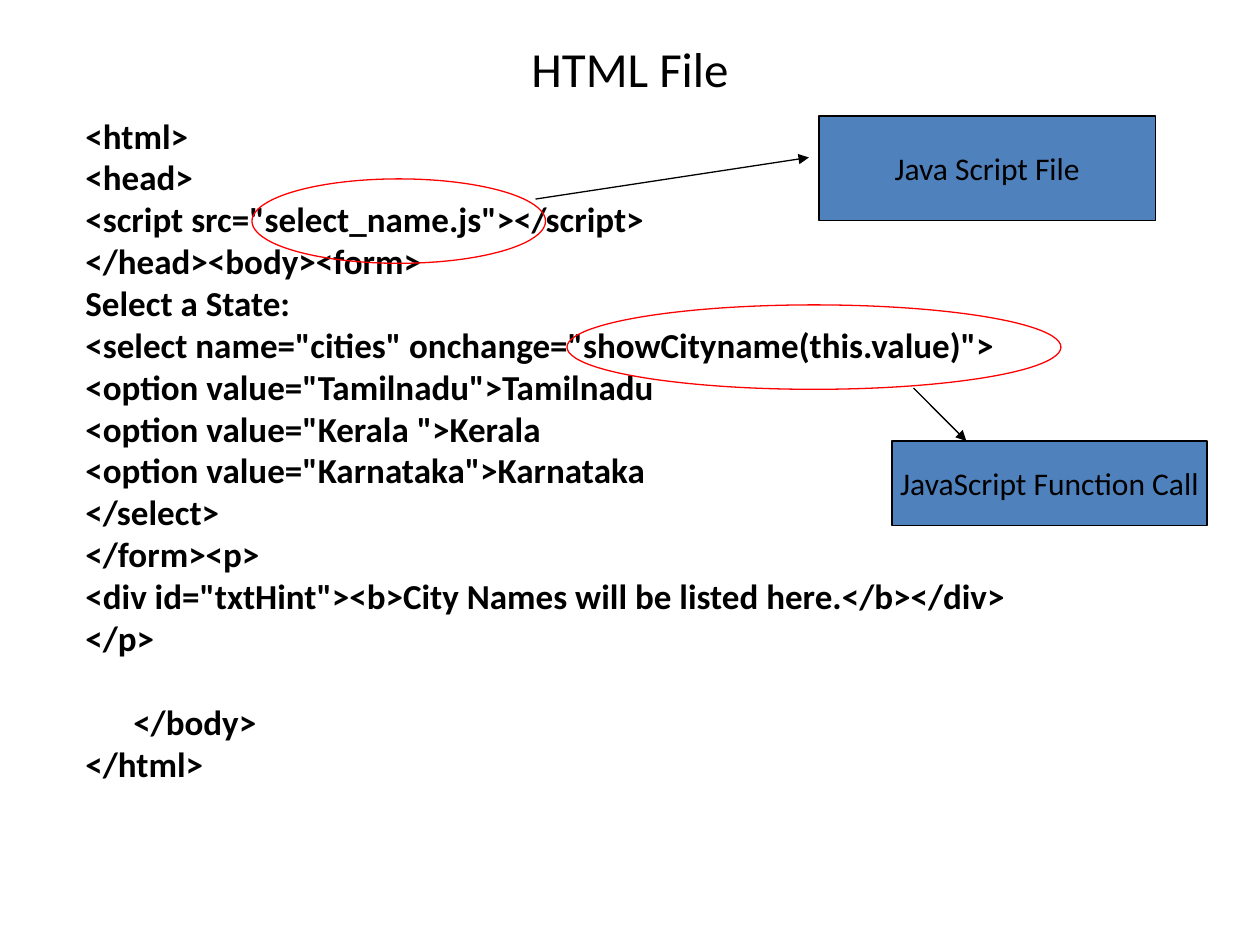
from pptx import Presentation
from pptx.dml.color import RGBColor
from pptx.enum.shapes import MSO_CONNECTOR, MSO_SHAPE
from pptx.enum.text import MSO_ANCHOR, PP_ALIGN
from pptx.oxml.ns import qn
from pptx.util import Inches, Pt
from lxml import etree

BLACK = RGBColor(0x00, 0x00, 0x00)
RED = RGBColor(0xFF, 0x00, 0x00)
BLUE = RGBColor(0x4F, 0x81, 0xBD)
OVAL, RECT = MSO_SHAPE.OVAL, MSO_SHAPE.RECTANGLE
LINE = MSO_CONNECTOR.STRAIGHT
CENTER, MIDDLE = PP_ALIGN.CENTER, MSO_ANCHOR.MIDDLE
TOP = MSO_ANCHOR.TOP

CODE = [
    '<html>',
    '<head>',
    '<script src="select_name.js"></script>',
    '</head><body><form>',
    'Select a State:',
    '<select name="cities" onchange="showCityname(this.value)">',
    '<option value="Tamilnadu">Tamilnadu',
    '<option value="Kerala ">Kerala',
    '<option value="Karnataka">Karnataka',
    '</select>',
    '</form><p>',
    '<div id="txtHint"><b>City Names will be listed here.</b></div>',
    '</p>',
    '</body>',
    '</html>',
]


class Deck:
    """Holds the style and the current slide, and draws each kind of element."""

    font = "Calibri"
    weight = Pt(0.75)
    gap = 4.7
    indent = Inches(0.38)

    def __init__(self, slide):
        self.slide = slide
        self.shapes = slide.shapes

    def style(self, para, size, bold=False):
        for run in para.runs:
            run.font.name = self.font
            run.font.size = Pt(size)
            run.font.bold = bold
            run.font.color.rgb = BLACK

    def title(self, text, *box):
        shape = self.shapes.title
        shape.left, shape.top, shape.width, shape.height = map(Inches, box)
        frame = shape.text_frame
        frame.text = text
        frame.vertical_anchor = MIDDLE
        frame.paragraphs[0].alignment = CENTER
        self.style(frame.paragraphs[0], 28)

    def code(self, lines, *box):
        frame = self.shapes.add_textbox(*map(Inches, box)).text_frame
        frame.word_wrap = True
        frame.vertical_anchor = TOP
        frame.text = "\n".join(lines)
        for i, para in enumerate(frame.paragraphs):
            inset = para.text == "</body>"
            props = para._p.get_or_add_pPr()
            props.set("marL", str(self.indent))
            props.set("indent", str(0 if inset else -self.indent))
            para.line_spacing = 0.8
            if i:
                para.space_before = Pt(self.gap * 2 + 19.5 if inset else self.gap)
            self.style(para, 20, True)

    def shape(self, kind, box, color):
        shape = self.shapes.add_shape(kind, *map(Inches, box))
        shape.shadow.inherit = False
        shape.line.color.rgb = color
        shape.line.width = self.weight
        return shape

    def ring(self, *box):
        self.shape(OVAL, box, RED).fill.background()

    def label(self, text, *box):
        shape = self.shape(RECT, box, BLACK)
        shape.fill.solid()
        shape.fill.fore_color.rgb = BLUE
        frame = shape.text_frame
        frame.word_wrap = False
        frame.vertical_anchor = MIDDLE
        frame.text = text
        frame.paragraphs[0].alignment = CENTER
        self.style(frame.paragraphs[0], 18)

    def arrow(self, *ends):
        line = self.shapes.add_connector(LINE, *map(Inches, ends))
        line.line.color.rgb = BLACK
        line.line.width = self.weight
        etree.SubElement(line.line._get_or_add_ln(), qn("a:tailEnd"), type="triangle")
        etree.SubElement(line._element.spPr, qn("a:effectLst"))


def main():
    prs = Presentation()
    prs.slide_width, prs.slide_height = Inches(10), Inches(7.5)
    deck = Deck(prs.slides.add_slide(prs.slide_layouts[5]))
    deck.title("HTML File", 0.5, 0.25, 9, 0.58)
    deck.code(CODE, 0.58, 0.92, 8.5, 6.42)
    deck.ring(2, 1.42, 2.33, 0.67)
    deck.arrow(4.25, 1.58, 6.42, 1.25)
    deck.label("Java Script File", 6.5, 0.92, 2.67, 0.83)
    deck.ring(4.5, 2.42, 3.92, 0.67)
    deck.arrow(7.25, 3.08, 7.67, 3.5)
    deck.label("JavaScript Function Call", 7.08, 3.5, 2.5, 0.67)
    prs.save("out.pptx")


if __name__ == "__main__":
    main()
